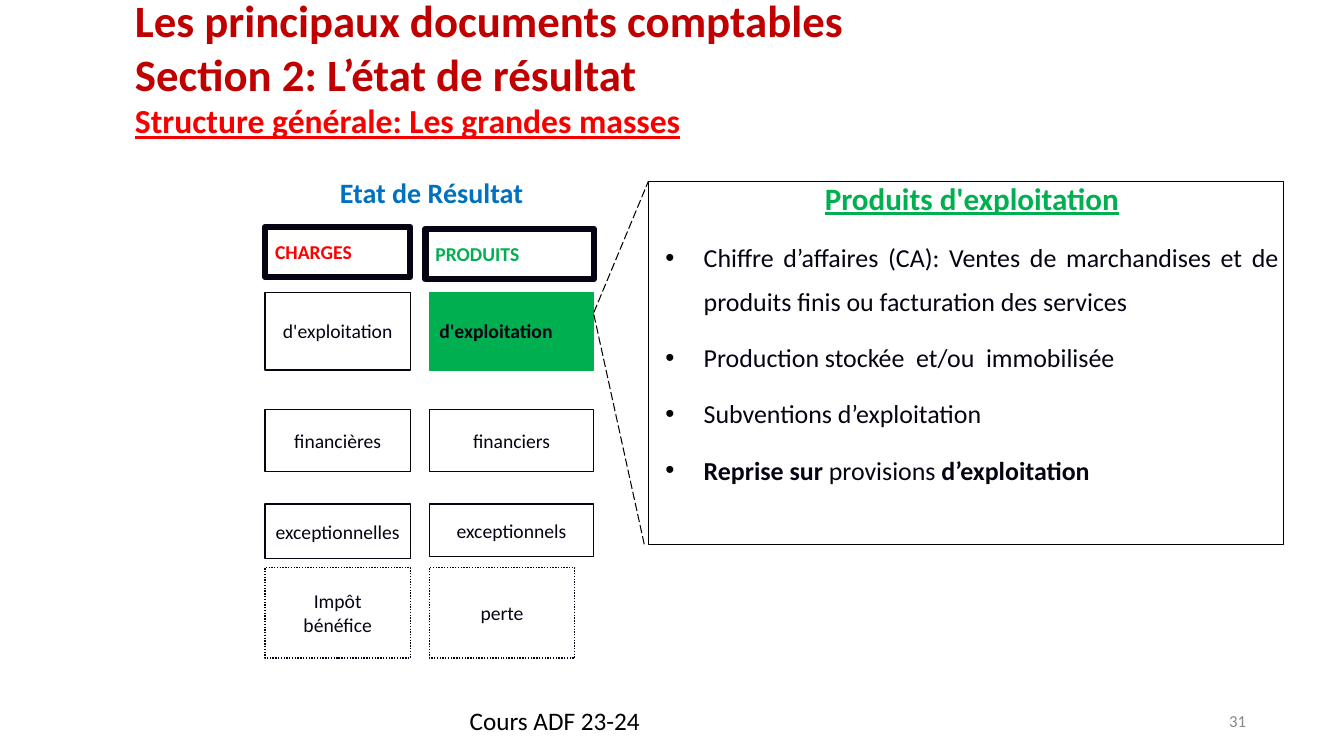
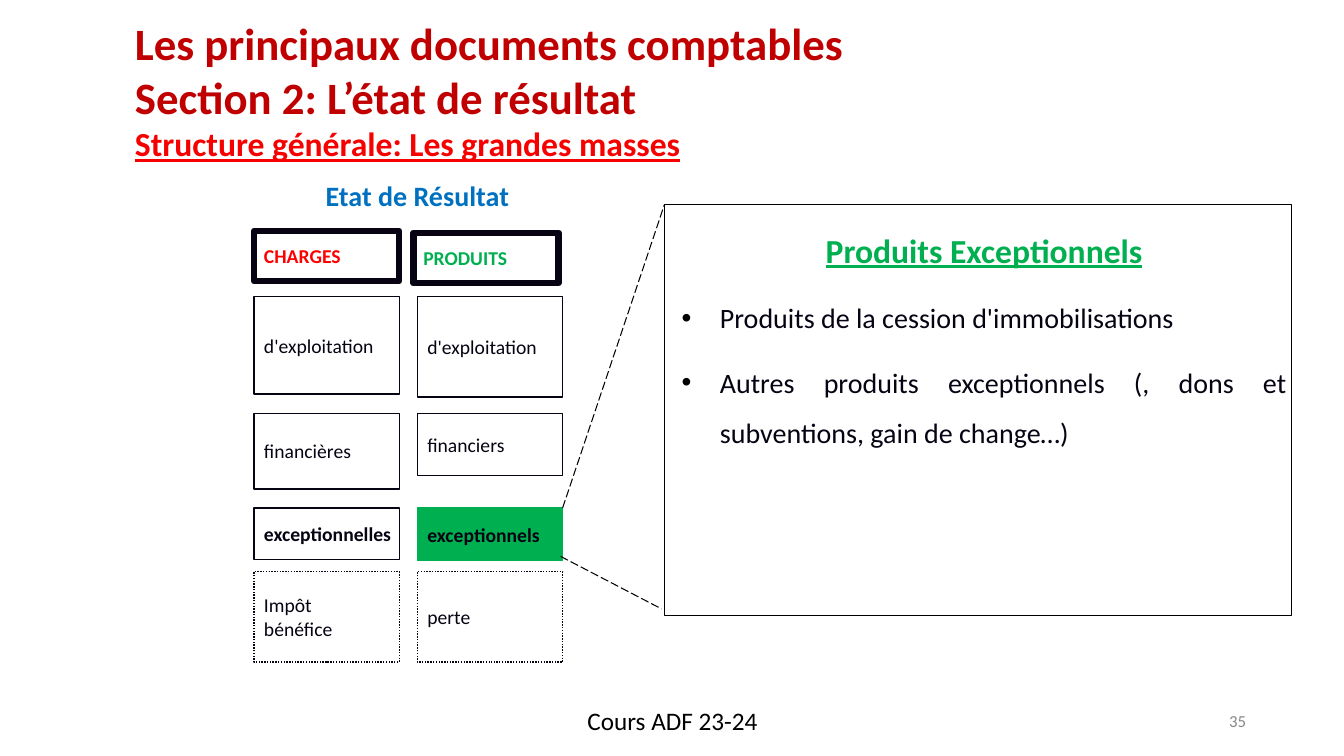
from lxml import etree
from pptx import Presentation
from pptx.dml.color import RGBColor
from pptx.enum.dml import MSO_LINE
from pptx.enum.shapes import MSO_CONNECTOR, MSO_SHAPE
from pptx.enum.text import MSO_ANCHOR, PP_ALIGN
from pptx.oxml.ns import qn
from pptx.util import Inches, Pt

LEFT, CENTER, RIGHT, JUSTIFY = PP_ALIGN.LEFT, PP_ALIGN.CENTER, PP_ALIGN.RIGHT, PP_ALIGN.JUSTIFY
TOP, MIDDLE, BOTTOM = MSO_ANCHOR.TOP, MSO_ANCHOR.MIDDLE, MSO_ANCHOR.BOTTOM
RECTANGLE, STRAIGHT = MSO_SHAPE.RECTANGLE, MSO_CONNECTOR.STRAIGHT
DOTTED, DASHED = MSO_LINE.ROUND_DOT, MSO_LINE.LONG_DASH

FONT = "Calibri"
BLACK, INK, GREY = "000000", "070313", "888888"
GREEN, RED, BLUE = "00B050", "FF0000", "0070C0"
TITLE_RED, SUBTITLE_RED = "C00000", "F60000"

TITLE_LINES = [
    ("Les principaux documents comptables", 32, TITLE_RED, False),
    ("Section 2: L’état de résultat", 32, TITLE_RED, False),
    ("Structure générale: Les grandes masses", 24, SUBTITLE_RED, True),
]
CHARGES = ["d'exploitation", "financières", "exceptionnelles", "Impôt\nbénéfice"]
PRODUITS = ["d'exploitation", "financiers", "exceptionnels", "perte"]
ROW_OFFSETS = [0.65, 1.81, 2.75, 3.38]
CELL_WIDTH = 1.44
HEADER_HEIGHT = 0.5


def color(value):
    return RGBColor.from_string(value)


def add_run(paragraph, text, size, text_color, bold=False, underline=False):
    run = paragraph.add_run()
    run.text = text
    font = run.font
    font.name = FONT
    font.size = Pt(size)
    font.bold = bold
    font.underline = underline
    font.color.rgb = color(text_color)


def add_paragraph(frame, index, alignment=LEFT):
    paragraph = frame.paragraphs[0] if index == 0 else frame.add_paragraph()
    paragraph.alignment = alignment
    return paragraph


def set_frame(frame, anchor, horizontal=0.1, vertical=0.05, wrap=True):
    frame.word_wrap = wrap
    frame.vertical_anchor = anchor
    frame.margin_left = frame.margin_right = Inches(horizontal)
    frame.margin_top = frame.margin_bottom = Inches(vertical)
    return frame


def add_text(slide, box, anchor, horizontal=0.1, vertical=0.05):
    shape = slide.shapes.add_textbox(*map(Inches, box))
    return set_frame(shape.text_frame, anchor, horizontal, vertical)


def add_rectangle(slide, box, line_color, line_width, fill=None, dash=None):
    shape = slide.shapes.add_shape(RECTANGLE, *map(Inches, box))
    shape.shadow.inherit = False
    if fill:
        shape.fill.solid()
        shape.fill.fore_color.rgb = color(fill)
    else:
        shape.fill.background()
    shape.line.color.rgb = color(line_color)
    shape.line.width = Pt(line_width)
    if dash:
        shape.line.dash_style = dash
    return shape


def add_cell(slide, box, text, text_color=INK, bold=False, alignment=LEFT,
             line_color=INK, line_width=1, fill=None, dash=None):
    shape = add_rectangle(slide, box, line_color, line_width, fill, dash)
    frame = set_frame(shape.text_frame, MIDDLE, wrap=False)
    for index, line in enumerate(text.split("\n")):
        add_run(add_paragraph(frame, index, alignment), line, 14, text_color, bold)


def add_header(slide, left, top, width, text, text_color):
    add_cell(slide, (left, top, width, HEADER_HEIGHT), text, text_color,
             bold=True, line_width=4.5)


def add_column(slide, left, top, width, labels, heights, alignment, bold_row=None, active_row=None):
    last_row = len(labels) - 1
    for row, (label, offset, height) in enumerate(zip(labels, ROW_OFFSETS, heights)):
        active = row == active_row
        add_cell(
            slide,
            (left, top + offset, CELL_WIDTH if row == last_row else width, height),
            label,
            bold=active or row == bold_row,
            alignment=LEFT if active else alignment,
            line_color=GREEN if active else INK,
            fill=GREEN if active else None,
            dash=DOTTED if row == last_row else None,
        )


def add_dashed_line(slide, start, end):
    connector = slide.shapes.add_connector(STRAIGHT, *map(Inches, start + end))
    connector.line.color.rgb = color(BLACK)
    connector.line.width = Pt(0.75)
    connector.line.dash_style = DASHED
    etree.SubElement(connector._element.spPr, qn("a:effectLst"))


def indent(paragraph, bullet):
    properties = paragraph._p.get_or_add_pPr()
    properties.set("marL", str(Inches(0.5)))
    properties.set("indent", str(Inches(-0.38)))
    if bullet:
        bullet_color = etree.SubElement(properties, qn("a:buClr"))
        etree.SubElement(bullet_color, qn("a:srgbClr")).set("val", BLACK)
        etree.SubElement(properties, qn("a:buFont")).set("typeface", "Arial")
        etree.SubElement(properties, qn("a:buChar")).set("char", "•")


def add_detail(slide, box, heading, heading_size, heading_spacing, bullets, size, spacing):
    shape = add_rectangle(slide, box, BLACK, 0.75)
    frame = set_frame(shape.text_frame, TOP, 0.05, 0.05)
    paragraph = add_paragraph(frame, 0, CENTER)
    paragraph.line_spacing = heading_spacing
    indent(paragraph, False)
    add_run(paragraph, heading, heading_size, GREEN, True, True)
    for index, runs in enumerate(bullets, 1):
        paragraph = add_paragraph(frame, index, JUSTIFY)
        paragraph.line_spacing = spacing
        paragraph.space_before = Pt(size / 2)
        indent(paragraph, True)
        for text, bold in runs:
            add_run(paragraph, text, size, INK, bold)


def add_frame_texts(slide, title_top, caption_left, caption_top, number, footer_alignment):
    frame = add_text(slide, (1.24, title_top, 10.79, 1.32), MIDDLE, vertical=0)
    for index, (text, size, text_color, underline) in enumerate(TITLE_LINES):
        add_run(add_paragraph(frame, index), text, size, text_color, True, underline)

    frame = add_text(slide, (caption_left, caption_top, 4, 0.36), BOTTOM)
    paragraph = add_paragraph(frame, 0, CENTER)
    paragraph.line_spacing = 0.75
    add_run(paragraph, "Etat de Résultat", 20, BLUE, True)

    frame = add_text(slide, (4.56, 6.95, 4.22, 0.4), TOP)
    add_run(add_paragraph(frame, 0, footer_alignment), "Cours ADF 23-24", 18, BLACK)

    frame = add_text(slide, (12.03, 7, 0.38, 0.3), MIDDLE, 0.05)
    add_run(add_paragraph(frame, 0, RIGHT), number, 12, GREY)


def add_statement(slide, top, charges_left, produits_left, produits_width, header_width,
                  charges_heights, produits_heights, alignment, active_row, bold_row=None):
    add_column(slide, charges_left, top, CELL_WIDTH, CHARGES, charges_heights,
               alignment, bold_row=bold_row)
    add_column(slide, produits_left, top, produits_width, PRODUITS, produits_heights,
               alignment, active_row=active_row)
    add_header(slide, charges_left, top, CELL_WIDTH, "CHARGES", RED)
    add_header(slide, produits_left - 0.04, top + 0.02, header_width, "PRODUITS", GREEN)


def build_operating_slide(slide):
    add_frame_texts(slide, 0, 2.28, 1.76, "31", LEFT)
    add_detail(
        slide, (6.43, 1.8, 6.3, 3.6), "Produits d'exploitation", 22.2, 0.8,
        [
            [("Chiffre d’affaires (CA): Ventes de marchandises et de produits finis "
              "ou facturation des services", False)],
            [("Production stockée  et/ou  immobilisée", False)],
            [("Subventions d’exploitation", False)],
            [("Reprise sur", True), (" provisions", False), (" d’exploitation", True)],
        ],
        18.5, 1.4,
    )
    add_statement(slide, 2.25, 2.63, 4.26, 1.63, 1.67, [0.77, 0.62, 0.54, 0.9],
                  [0.77, 0.62, 0.52, 0.9], CENTER, active_row=0)
    add_dashed_line(slide, (5.89, 3.1), (6.43, 1.8))
    add_dashed_line(slide, (5.89, 3.12), (6.39, 5.4))


def build_exceptional_slide(slide):
    add_frame_texts(slide, 0.23, 2.14, 1.79, "35", CENTER)
    add_detail(
        slide, (6.59, 2.03, 6.22, 4.08), "Produits Exceptionnels", 24, 1.5,
        [
            [("Produits de la cession d'immobilisations", False)],
            [("Autres produits exceptionnels (, dons et subventions, gain de change…)", False)],
        ],
        20, 1.5,
    )
    add_statement(slide, 2.29, 2.52, 4.14, CELL_WIDTH, CELL_WIDTH, [0.97, 0.75, 0.51, 0.9],
                  [1, 0.62, 0.52, 0.9], LEFT, active_row=2, bold_row=2)
    add_dashed_line(slide, (5.58, 5.04), (6.59, 2.03))
    add_dashed_line(slide, (5.56, 5.52), (6.56, 6.04))


def main():
    presentation = Presentation()
    presentation.slide_width = Inches(13.33)
    presentation.slide_height = Inches(7.5)
    blank = presentation.slide_layouts[6]
    for build in (build_operating_slide, build_exceptional_slide):
        build(presentation.slides.add_slide(blank))
    presentation.save("out.pptx")


if __name__ == "__main__":
    main()
